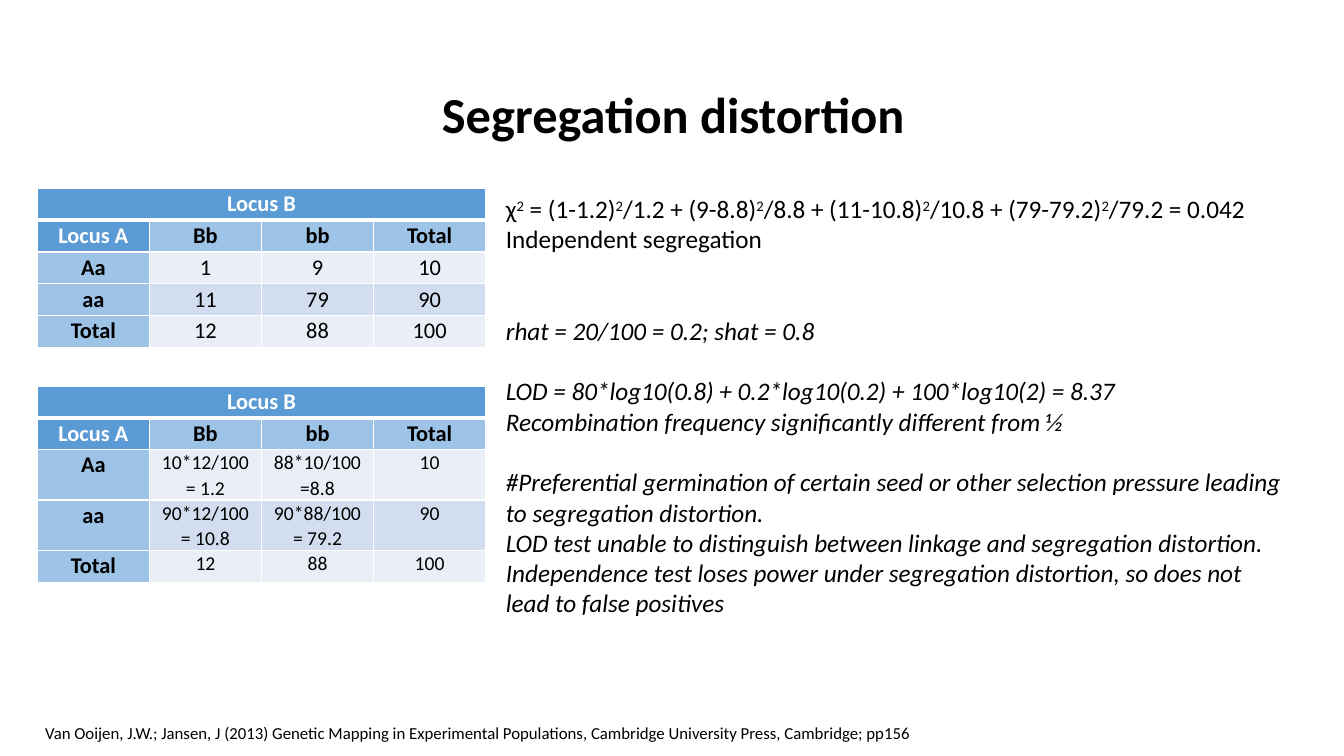
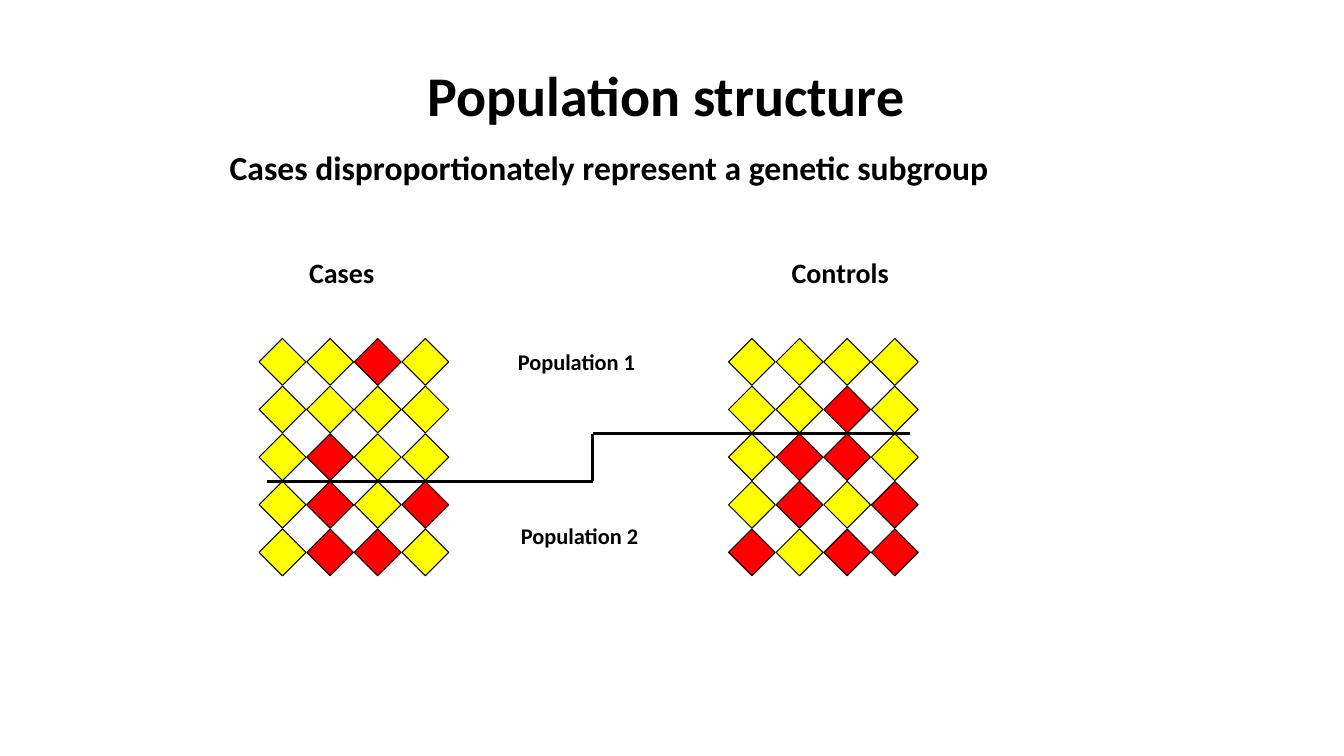
from lxml import etree
from pptx import Presentation
from pptx.dml.color import RGBColor
from pptx.enum import shapes, text
from pptx.oxml import ns
from pptx.util import Cm, Pt

FONT = "Calibri"
BLACK = RGBColor(0x00, 0x00, 0x00)
WHITE = RGBColor(0xFF, 0xFF, 0xFF)
HEADER = RGBColor(0x5B, 0x9B, 0xD5)
LABEL = RGBColor(0x9D, 0xC3, 0xE6)
BANDS = (RGBColor(0xEA, 0xEF, 0xF7), RGBColor(0xD2, 0xDE, 0xEF))
ALLELES = {"Y": RGBColor(0xFF, 0xFF, 0x00), "R": RGBColor(0xFF, 0x00, 0x00)}
LEFT, CENTER = text.PP_ALIGN.LEFT, text.PP_ALIGN.CENTER

HEADINGS = [["Locus B", "", "", ""], ["Locus A", "Bb", "bb", "Total"]]
TOTALS = ["Total", "12", "88", "100"]
OBSERVED = HEADINGS + [["Aa", "1", "9", "10"], ["aa", "11", "79", "90"], TOTALS]
EXPECTED = HEADINGS + [
    ["Aa", "10*12/100 = 1.2", "88*10/100 =8.8", "10"],
    ["aa", "90*12/100 = 10.8", "90*88/100 = 79.2", "90"],
    TOTALS,
]
CHI_SQUARE = ("χ² = (1-1.2)²/1.2 + (9-8.8)²/8.8 + (11-10.8)²/10.8"
              " + (79-79.2)²/79.2 = 0.042")
FINDINGS = [
    ("Independent segregation", 0, False),
    ("rhat = 20/100 = 0.2; shat = 0.8", 2, True),
    ("LOD = 80*log10(0.8) + 0.2*log10(0.2) + 100*log10(2) = 8.37", 1, True),
    ("Recombination frequency significantly different from ½", 0, True),
    ("#Preferential germination of certain seed or other selection pressure "
     "leading to segregation distortion.", 1, True),
    ("LOD test unable to distinguish between linkage and segregation distortion.", 0, True),
    ("Independence test loses power under segregation distortion, so does not "
     "lead to false positives", 0, True),
]
CITATION = ("Van Ooijen, J.W.; Jansen, J (2013) Genetic Mapping in Experimental "
            "Populations, Cambridge University Press, Cambridge; pp156")
CASES = ["YYRY", "YYYY", "YRYY", "YRYR", "YRRY"]
CONTROLS = ["YYYY", "YYRY", "YRRY", "YRYR", "RYRR"]
PITCH, DIAMOND = 1.2, 1.18


def style(font, size, bold=False, italic=False, color=BLACK):
    """Set the look of a font."""
    font.name, font.size = FONT, Pt(size)
    font.bold, font.italic = bold, italic
    font.color.rgb = color


def add_text(slide, box, content, size, bold=False, align=LEFT):
    """Add a wrapping text box with one styled paragraph."""
    tf = slide.shapes.add_textbox(*map(Cm, box)).text_frame
    tf.word_wrap = True
    p = tf.paragraphs[0]
    p.text, p.alignment = content, align
    for r in p.runs:
        style(r.font, size, bold, False)
    return tf


def add_title(slide, box, content, size):
    """Add the bold centred slide title."""
    add_text(slide, box, content, size, True, CENTER)


def set_borders(cell, row):
    """Draw white cell borders, heavier below the first row."""
    pr = cell._tc.get_or_add_tcPr()
    heavy = {"lnB": 0, "lnT": 1}
    for side in ("lnL", "lnR", "lnT", "lnB"):
        width = Pt(3 if heavy.get(side) == row else 1)
        ln = etree.SubElement(pr, ns.qn(f"a:{side}"), w=str(width))
        fill = etree.SubElement(ln, ns.qn("a:solidFill"))
        etree.SubElement(fill, ns.qn("a:srgbClr"), val=str(WHITE))


def add_locus_table(slide, left, top, rows, heights, value_size):
    """Add a two-locus contingency table."""
    width = Cm(11.3)
    frame = slide.shapes.add_table(len(rows), 4, Cm(left), Cm(top), width, Cm(sum(heights)))
    table = frame.table
    table.first_row = table.horz_banding = False
    for i, row in enumerate(rows):
        table.rows[i].height = Cm(heights[i])
        for j, value in enumerate(row):
            cell = table.cell(i, j)
            heading = i == 0 or (i, j) == (1, 0)
            label = i == 1 or j == 0
            cell.margin_left = cell.margin_right = Cm(0.19)
            cell.margin_top = cell.margin_bottom = 0
            set_borders(cell, i)
            cell.fill.solid()
            cell.fill.fore_color.rgb = HEADER if heading else LABEL if label else BANDS[i % 2]
            p = cell.text_frame.paragraphs[0]
            p.text, p.alignment, p.line_spacing = value, CENTER, 1.07
            bold = heading or label
            for r in p.runs:
                style(r.font, 16 if bold else value_size, bold,
                      color=WHITE if heading else BLACK)
    table.cell(0, 0).merge(table.cell(0, 3))


def add_findings(slide, box):
    """Add the test statistics and their interpretation."""
    tf = add_text(slide, box, "", 18)
    p = tf.paragraphs[0]
    for i, part in enumerate(CHI_SQUARE.split("²")):
        for content, raised in (("2", True), (part, False))[i == 0:]:
            r = p.add_run()
            r.text = content
            style(r.font, 18)
            if raised:
                r.font._element.set("baseline", "30000")
    for content, gap, italic in FINDINGS:
        p = tf.add_paragraph()
        p.text, p.space_before = content, Pt(21.8 * gap)
        style(p.runs[0].font, 18, italic=italic)


def add_diamonds(slide, left, top, rows):
    """Add a grid of allele diamonds."""
    for i, row in enumerate(rows):
        for j, allele in enumerate(row):
            sp = slide.shapes.add_shape(
                shapes.MSO_SHAPE.DIAMOND, Cm(left + j * PITCH), Cm(top + i * PITCH),
                Cm(DIAMOND), Cm(DIAMOND))
            sp.shadow.inherit = False
            sp.fill.solid()
            sp.fill.fore_color.rgb = ALLELES[allele]
            sp.line.color.rgb = BLACK
            sp.line.width = Pt(0.75)


def add_divider(slide, points):
    """Add the stepped line between the populations."""
    for start, end in zip(points, points[1:]):
        line = slide.shapes.add_connector(
            shapes.MSO_CONNECTOR.STRAIGHT, *map(Cm, start + end))
        line.line.color.rgb = BLACK
        line.line.width = Pt(2)
        etree.SubElement(line._element.spPr, ns.qn("a:effectLst"))


def build_distortion(slide):
    """Build the segregation distortion slide."""
    add_title(slide, (3.28, 1.96, 27.38, 1.8), "Segregation distortion", 36)
    add_locus_table(slide, 0.94, 4.75, OBSERVED, [0.8] * 5, 16)
    add_locus_table(slide, 0.94, 9.73, EXPECTED, [0.8, 0.8, 1.26, 1.26, 0.8], 14)
    add_findings(slide, (12.5, 4.75, 20.14, 11.79))
    add_text(slide, (0.89, 18.08, 24, 0.77), CITATION, 12)


def build_structure(slide):
    """Build the population structure slide."""
    add_title(slide, (10.44, 1.4, 12.7, 1.96), "Population structure", 40)
    add_text(slide, (5.54, 3.58, 21, 1.27),
             "Cases disproportionately represent a genetic subgroup", 24, True)
    for left, content in ((7.54, "Cases"), (19.7, "Controls")):
        add_text(slide, (left, 6.32, 4, 1.12), content, 20, True)
    top = 8.53
    add_diamonds(slide, 6.53, top, CASES)
    add_diamonds(slide, 18.36, top, CONTROLS)
    low, high, step = top + 3 * PITCH, top + 2 * PITCH, 14.94
    add_divider(slide, [(6.73, low), (step, low), (step, high), (22.94, high)])
    add_text(slide, (12.8, 8.66, 4, 0.94), "Population 1", 16, True)
    add_text(slide, (12.88, 13.03, 4, 0.94), "Population 2", 16, True)


def main():
    """Build and save the presentation."""
    prs = Presentation()
    prs.slide_width, prs.slide_height = Cm(33.87), Cm(19.05)
    for build in (build_distortion, build_structure):
        build(prs.slides.add_slide(prs.slide_layouts[6]))
    prs.save("out.pptx")


if __name__ == "__main__":
    main()
